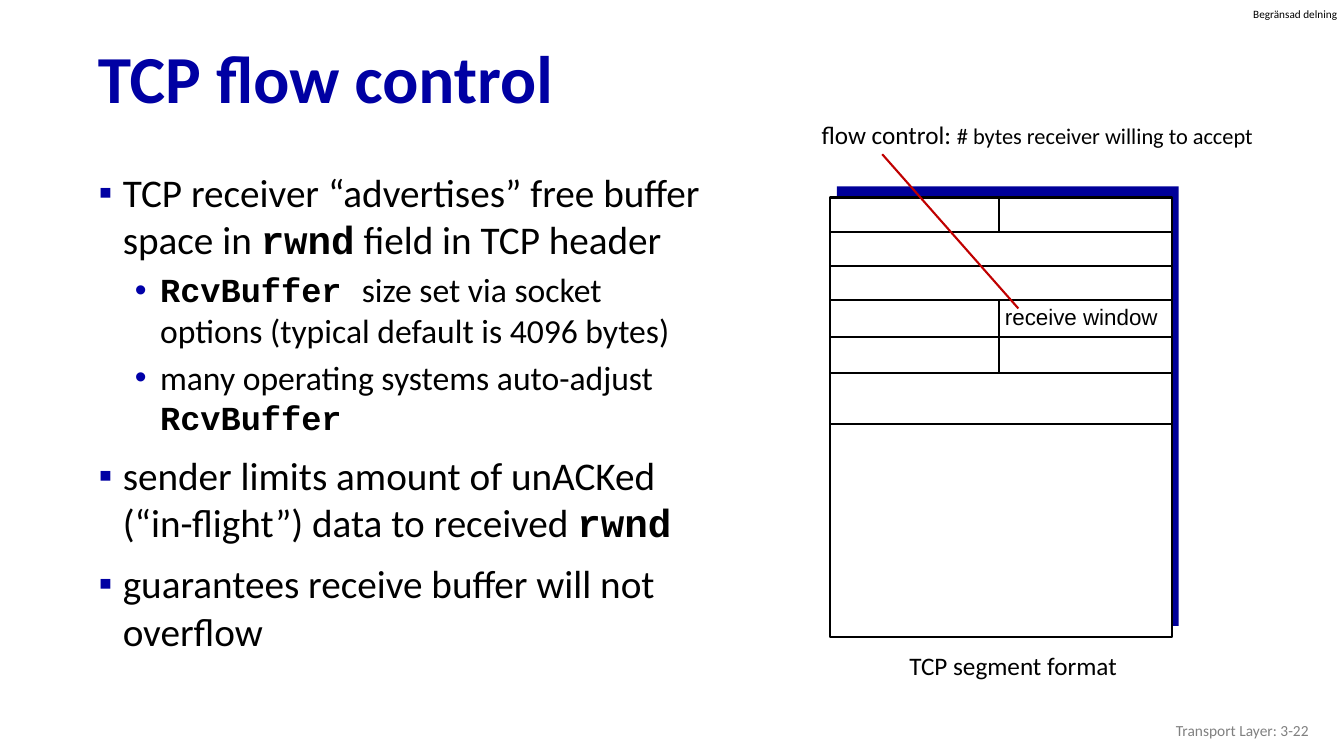
from lxml.etree import SubElement
from pptx import Presentation
from pptx.dml.color import RGBColor
from pptx.enum.shapes import MSO_CONNECTOR, MSO_SHAPE
from pptx.enum.text import MSO_ANCHOR, PP_ALIGN
from pptx.oxml.ns import qn
from pptx.util import Inches, Pt

BLACK, NAVY = "000000", "0000A3"
SANS, MONO = "Calibri", "Courier New"


def rgb(code):
    return RGBColor.from_string(code)


def add_run(p, text, size, color=BLACK, font=SANS, bold=False):
    r = p.add_run()
    r.text = text
    r.font.size, r.font.name, r.font.bold = Pt(size), font, bold
    r.font.color.rgb = rgb(color)


prs = Presentation()
prs.slide_width, prs.slide_height = Inches(13.33), Inches(7.5)
s = prs.slides.add_slide(prs.slide_layouts[5])

# Title
title = s.shapes.title
title.left, title.top = Inches(0.87), Inches(0.32)
title.width, title.height = Inches(12.46), Inches(0.98)
tf = title.text_frame
tf.vertical_anchor = MSO_ANCHOR.MIDDLE
p = tf.paragraphs[0]
p.alignment, p.line_spacing = PP_ALIGN.LEFT, 0.9
add_run(p, "TCP flow control", 48, NAVY, bold=True)

# Bulleted text: level, then runs of text and font
bullets = [
    (0, [("TCP receiver “advertises” free buffer space in ", SANS),
         ("rwnd", MONO), (" field in TCP header", SANS)]),
    (1, [("RcvBuffer ", MONO),
         ("size set via socket options (typical default is 4096 bytes)", SANS)]),
    (1, [("many operating systems auto-adjust ", SANS), ("RcvBuffer", MONO)]),
    (0, [("sender limits amount of unACKed (“in-flight”) data to received ", SANS),
         ("rwnd", MONO)]),
    (0, [("guarantees receive buffer will not overflow", SANS)]),
]
# Per level: text size, space before, margin, indent, bullet, bullet colour
levels = [(28, 10, 0.39, -0.24, "▪", NAVY), (24, 5, 0.76, -0.25, "•", "0000A8")]
tf = s.shapes.add_textbox(Inches(0.73), Inches(1.62), Inches(6.37), Inches(5.37)).text_frame
tf.word_wrap = True
for i, (level, runs) in enumerate(bullets):
    size, before, margin, indent, char, color = levels[level]
    p = tf.add_paragraph() if i else tf.paragraphs[0]
    p.level = level
    p.space_before = Pt(before if i else 0)
    pPr = p._p.get_or_add_pPr()
    pPr.set("marL", str(Inches(margin)))
    pPr.set("indent", str(Inches(indent)))
    SubElement(SubElement(pPr, qn("a:buClr")), qn("a:srgbClr"), val=color)
    SubElement(pPr, qn("a:buFont"), typeface="Arial")
    SubElement(pPr, qn("a:buChar"), char=char)
    for text, font in runs:
        add_run(p, text, size, font=font, bold=font == MONO)

# Segment sheet over its navy backing
left, mid, right, top, bottom = 8.23, 9.91, 11.62, 1.96, 6.32
for x, y, fill in [(left + 0.07, top - 0.11, "000099"), (left, top, "FFFFFF")]:
    sp = s.shapes.add_shape(MSO_SHAPE.RECTANGLE, Inches(x), Inches(y),
                            Inches(right - left), Inches(bottom - top))
    sp.shadow.inherit = False
    sp.fill.solid()
    sp.fill.fore_color.rgb = rgb(fill)
    if fill == "FFFFFF":
        sp.line.color.rgb, sp.line.width = rgb(BLACK), Pt(1.5)
    else:
        sp.line.fill.background()

# Row rules, column dividers and the red pointer
rows = [2.3, 2.64, 2.98, 3.34, 3.7, 4.21]
lines = [(left, y, right, y, BLACK) for y in rows]
lines += [(mid, top, mid, rows[0], BLACK), (mid, rows[2], mid, rows[4], BLACK),
          (10.1, 3.06, 8.75, 1.53, "C00000")]
for x1, y1, x2, y2, color in lines:
    line = s.shapes.add_connector(MSO_CONNECTOR.STRAIGHT, Inches(x1), Inches(y1),
                                  Inches(x2), Inches(y2))
    line.line.color.rgb, line.line.width = rgb(color), Pt(1.5)
    SubElement(line._element.spPr, qn("a:effectLst"))

# Labels: box, inset, alignment, line spacing, wrap, anchor, runs
TOP, MIDDLE = MSO_ANCHOR.TOP, MSO_ANCHOR.MIDDLE
LEFT, CENTER, RIGHT = PP_ALIGN.LEFT, PP_ALIGN.CENTER, PP_ALIGN.RIGHT
labels = [
    ((8.05, 1.17, 4.76, 0.37), True, LEFT, 0.9, True, TOP,
     [("flow control: ", 18), ("# bytes receiver willing to accept", 16)]),
    ((9.86, 2.96, 1.73, 0.37), True, CENTER, 1.0, False, TOP,
     [("receive window", 16, BLACK, "Arial")]),
    ((8.92, 6.44, 2.53, 0.37), True, LEFT, 0.9, True, TOP, [("TCP segment format", 18)]),
    ((12.43, 0.07, 0.86, 0.13), False, LEFT, 1.0, True, TOP, [("Begränsad delning", 8)]),
    ((10.08, 7.05, 3, 0.4), True, RIGHT, 1.0, True, MIDDLE,
     [("Transport Layer: 3-22", 11, "808080")]),
]
for box, inset, align, spacing, wrap, anchor, runs in labels:
    tf = s.shapes.add_textbox(*map(Inches, box)).text_frame
    tf.word_wrap, tf.vertical_anchor = wrap, anchor
    if not inset:
        tf.margin_left = tf.margin_right = tf.margin_top = tf.margin_bottom = 0
    p = tf.paragraphs[0]
    p.alignment, p.line_spacing = align, spacing
    for run in runs:
        add_run(p, *run)

prs.save("out.pptx")
